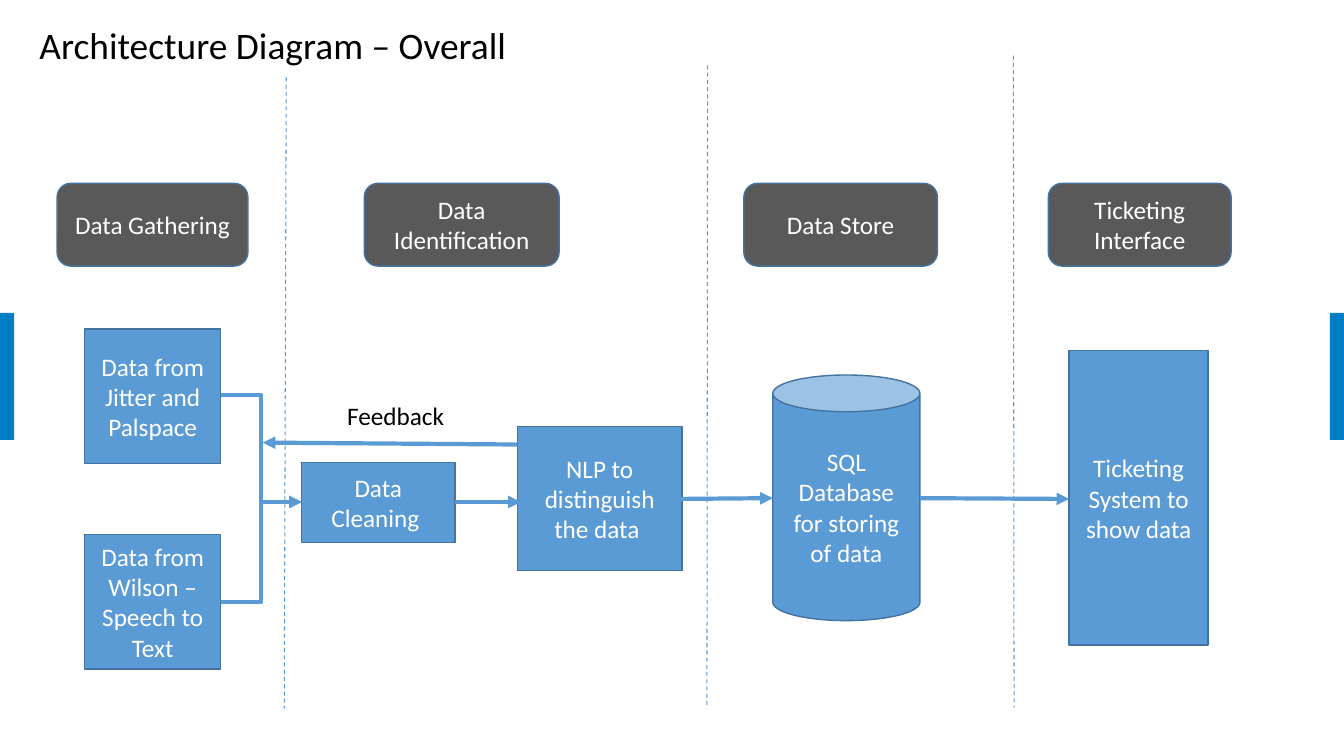
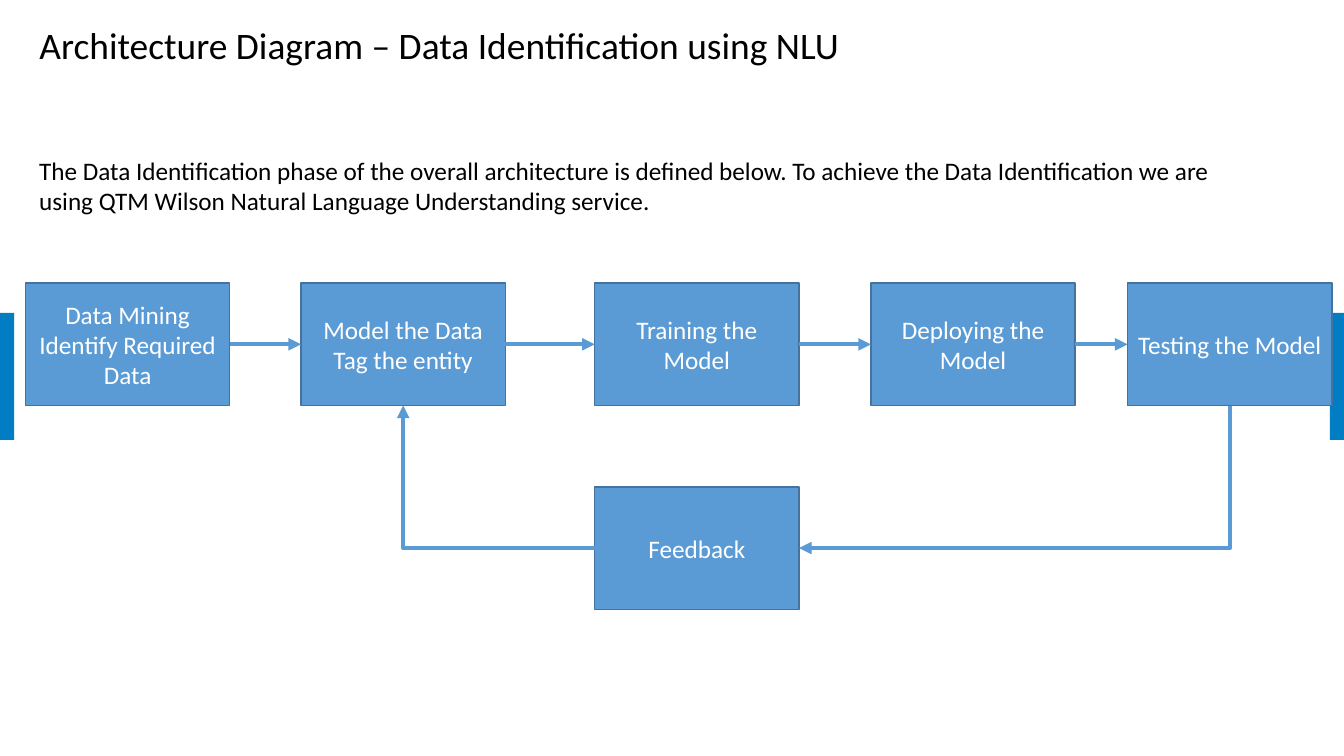
from dataclasses import dataclass
from typing import Optional

import lxml.etree
import pptx
import pptx.dml.color
import pptx.enum.dml
import pptx.enum.shapes
import pptx.enum.text
import pptx.oxml.ns
import pptx.util
from pptx.shapes.autoshape import Shape
from pptx.shapes.connector import Connector
from pptx.slide import Slide

# Shared style
FONT = "Calibri"
BLACK, WHITE = "000000", "FFFFFF"
BLUE, OUTLINE, GREY, BAND = "5B9BD5", "43739E", "595959", "007DC3"
TITLE_SIZE, TEXT_SIZE = 26.7, 18

RECTANGLE = pptx.enum.shapes.MSO_SHAPE.RECTANGLE
ROUNDED = pptx.enum.shapes.MSO_SHAPE.ROUNDED_RECTANGLE
CAN = pptx.enum.shapes.MSO_SHAPE.CAN
STRAIGHT = pptx.enum.shapes.MSO_CONNECTOR.STRAIGHT
ELBOW = pptx.enum.shapes.MSO_CONNECTOR.ELBOW
DASH = pptx.enum.dml.MSO_LINE.DASH
ALIGN = pptx.enum.text.PP_ALIGN
ANCHOR = pptx.enum.text.MSO_ANCHOR
AUTO_SIZE = pptx.enum.text.MSO_AUTO_SIZE
LEFT_SITE, RIGHT_SITE = 1, 3

presentation = pptx.Presentation()
presentation.slide_width = pptx.util.Inches(13.33)
presentation.slide_height = pptx.util.Inches(7.5)


@dataclass(frozen=True)
class Area:
    """Place and size in percent of the slide's width and height."""
    left: float
    top: float
    width: float
    height: float

    def lengths(self) -> tuple[int, int, int, int]:
        return across(self.left), down(self.top), across(self.width), down(self.height)


@dataclass(frozen=True)
class Box:
    area: Area
    lines: tuple[str, ...]
    kind: pptx.enum.shapes.MSO_SHAPE = RECTANGLE
    fill: str = BLUE


@dataclass(frozen=True)
class Link:
    start: tuple[float, float]
    end: tuple[float, float]
    kind: pptx.enum.shapes.MSO_CONNECTOR = STRAIGHT
    width: float = 3
    arrow: bool = True
    dash: Optional[pptx.enum.dml.MSO_LINE] = None


def across(share: float) -> int:
    return round(presentation.slide_width * share / 100)


def down(share: float) -> int:
    return round(presentation.slide_height * share / 100)


def color(value: str) -> pptx.dml.color.RGBColor:
    return pptx.dml.color.RGBColor.from_string(value)


def write(shape: Shape, lines: tuple[str, ...], size: float, ink: str,
          align: pptx.enum.text.PP_ALIGN = ALIGN.LEFT,
          anchor: pptx.enum.text.MSO_ANCHOR = ANCHOR.TOP,
          spacing: float = 1.0) -> None:
    frame = shape.text_frame
    frame.word_wrap = True
    frame.vertical_anchor = anchor
    for index, line in enumerate(lines):
        paragraph = frame.add_paragraph() if index else frame.paragraphs[0]
        paragraph.alignment = align
        paragraph.line_spacing = spacing
        run = paragraph.add_run()
        run.text = line
        run.font.name = FONT
        run.font.size = pptx.util.Pt(size)
        run.font.color.rgb = color(ink)


def add_block(slide: Slide, area: Area, fill: str,
              kind: pptx.enum.shapes.MSO_SHAPE = RECTANGLE) -> Shape:
    shape = slide.shapes.add_shape(kind, *area.lengths())
    shape.shadow.inherit = False
    shape.fill.solid()
    shape.fill.fore_color.rgb = color(fill)
    shape.line.fill.background()
    return shape


def add_box(slide: Slide, box: Box) -> Shape:
    shape = add_block(slide, box.area, box.fill, box.kind)
    shape.line.color.rgb = color(OUTLINE)
    shape.line.width = pptx.util.Pt(1)
    write(shape, box.lines, TEXT_SIZE, WHITE, ALIGN.CENTER, ANCHOR.MIDDLE)
    return shape


def add_text(slide: Slide, area: Area, text: str) -> None:
    shape = slide.shapes.add_textbox(*area.lengths())
    write(shape, (text,), TEXT_SIZE, BLACK)
    shape.text_frame.auto_size = AUTO_SIZE.SHAPE_TO_FIT_TEXT


def add_link(slide: Slide, link: Link) -> Connector:
    (start_x, start_y), (end_x, end_y) = link.start, link.end
    connector = slide.shapes.add_connector(
        link.kind, across(start_x), down(start_y), across(end_x), down(end_y))
    connector.line.color.rgb = color(BLUE)
    connector.line.width = pptx.util.Pt(link.width)
    if link.dash is not None:
        connector.line.dash_style = link.dash
    properties = connector.element.spPr
    if link.arrow:
        outline = properties.find(pptx.oxml.ns.qn("a:ln"))
        lxml.etree.SubElement(outline, pptx.oxml.ns.qn("a:tailEnd"), type="triangle")
    lxml.etree.SubElement(properties, pptx.oxml.ns.qn("a:effectLst"))
    return connector


def add_corner(slide: Slide, link: Link, quarter_turns: int) -> None:
    """Draw an arrow with one bend, turned clockwise about its centre."""
    (start_x, start_y), (end_x, end_y) = link.start, link.end
    connector = add_link(slide, Link((0, 0), (1, 1), ELBOW))
    width, height = across(abs(end_x - start_x)), down(abs(end_y - start_y))
    center_x, center_y = across((start_x + end_x) / 2), down((start_y + end_y) / 2)
    if quarter_turns % 2:
        width, height = height, width
    connector.left, connector.top = center_x - width // 2, center_y - height // 2
    connector.width, connector.height = width, height
    properties = connector.element.spPr
    properties.find(pptx.oxml.ns.qn("a:prstGeom")).set("prst", "bentConnector2")
    properties.find(pptx.oxml.ns.qn("a:xfrm")).set("rot", str(quarter_turns * 5400000))


def add_titled_slide(title: str) -> Slide:
    slide = presentation.slides.add_slide(title_layout)
    write(slide.shapes.title, (title,), TITLE_SIZE, BLACK, spacing=0.9)
    slide.shapes.title.text_frame.auto_size = AUTO_SIZE.NONE
    return slide


def add_master_bands(slide: Slide) -> None:
    """Place the two side bands on the master, behind every slide."""
    width = 1.05
    for number, left in enumerate((0, 100 - width)):
        band = add_block(slide, Area(left, 41.4, width, 16.8), BAND)
        band.element.nvSpPr.cNvPr.set("id", str(100 + number))
        presentation.slide_master.shapes.element.append(band.element)


# Title place, set once on the layout
title_layout = presentation.slide_layouts[5]
layout_title = title_layout.placeholders[0]
(layout_title.left, layout_title.top,
 layout_title.width, layout_title.height) = Area(2.18, 2.93, 95.4, 8.8).lengths()

# Slide 1: overall architecture
overall = add_titled_slide("Architecture Diagram – Overall")
add_master_bands(overall)

for left, width, label in (
    (4.25, 14.2, "Data Gathering"),
    (27.1, 14.5, "Data Identification"),
    (55.35, 14.4, "Data Store"),
    (78, 13.6, "Ticketing Interface"),
):
    add_box(overall, Box(Area(left, 24.25, width, 10.95), (label,), ROUNDED, GREY))

for component in (
    Box(Area(6.3, 43.5, 10.13, 17.8), ("Data from Jitter and Palspace",)),
    Box(Area(6.3, 70.67, 10.13, 17.8), ("Data from Wilson – Speech to Text",)),
    Box(Area(22.45, 61.2, 11.4, 10.55), ("Data Cleaning ",)),
    Box(Area(38.5, 56.4, 12.25, 19.1), ("NLP to distinguish the data ",)),
    Box(Area(57.5, 49.6, 10.95, 32.5), ("SQL Database for storing of data",), CAN),
    Box(Area(79.55, 46.4, 10.35, 38.95), ("Ticketing System to show data",)),
):
    add_box(overall, component)

# Phase dividers
for start, end in (
    ((21.3, 10.25), (21.15, 93.7)),
    ((52.65, 8.65), (52.6, 93.7)),
    ((75.4, 7.35), (75.45, 93.6)),
):
    add_link(overall, Link(start, end, width=0.75, arrow=False, dash=DASH))

# Data flow
cleaning_entry = (22.45, 66.4)
for flow in (
    Link((16.43, 52.25), cleaning_entry, ELBOW),
    Link((16.43, 79.6), cleaning_entry, ELBOW),
    Link((33.85, 66.4), (38.75, 66.4)),
    Link((50.25, 66), (57.5, 65.9)),
    Link((68.45, 65.9), (79.55, 66)),
    Link((38.5, 58.8), (19.55, 58.55)),
):
    add_link(overall, flow)
add_text(overall, Area(25.1, 52.25, 13.35, 5.35), "Feedback")

# Slide 2: data identification
identification = add_titled_slide("Architecture Diagram – Data Identification using NLU")
add_text(identification, Area(2.18, 19.87, 90.75, 9.45),
         "The Data Identification phase of the overall architecture is defined below. "
         "To achieve the Data Identification we are using QTM Wilson Natural Language "
         "Understanding service.")

STEP_WIDTH, STEP_HEIGHT = 15.2, 16.2
STEP_TOP, FEEDBACK_TOP = 37.45, 64.4
MODEL_LEFT, TRAINING_LEFT, TESTING_LEFT = 22.4, 44.25, 83.9

steps = [
    add_box(identification, Box(Area(left, STEP_TOP, STEP_WIDTH, STEP_HEIGHT), lines))
    for left, lines in (
        (1.9, ("Data Mining", "Identify Required Data")),
        (MODEL_LEFT, ("Model the Data", "Tag the entity")),
        (TRAINING_LEFT, ("Training the Model",)),
        (64.8, ("Deploying the Model",)),
        (TESTING_LEFT, ("Testing the Model",)),
    )
]
add_box(identification, Box(
    Area(TRAINING_LEFT, FEEDBACK_TOP, STEP_WIDTH, STEP_HEIGHT), ("Feedback",)))

# Arrows from step to step
for step, next_step in zip(steps, steps[1:]):
    arrow = add_link(identification, Link((0, 0), (1, 1)))
    arrow.begin_connect(step, RIGHT_SITE)
    arrow.end_connect(next_step, LEFT_SITE)

# Feedback loop
step_bottom = STEP_TOP + STEP_HEIGHT
feedback_middle = FEEDBACK_TOP + STEP_HEIGHT / 2
add_corner(identification, Link(
    (TESTING_LEFT + STEP_WIDTH / 2, step_bottom),
    (TRAINING_LEFT + STEP_WIDTH, feedback_middle)), 1)
add_corner(identification, Link(
    (TRAINING_LEFT, feedback_middle),
    (MODEL_LEFT + STEP_WIDTH / 2, step_bottom)), 2)

presentation.save("out.pptx")
